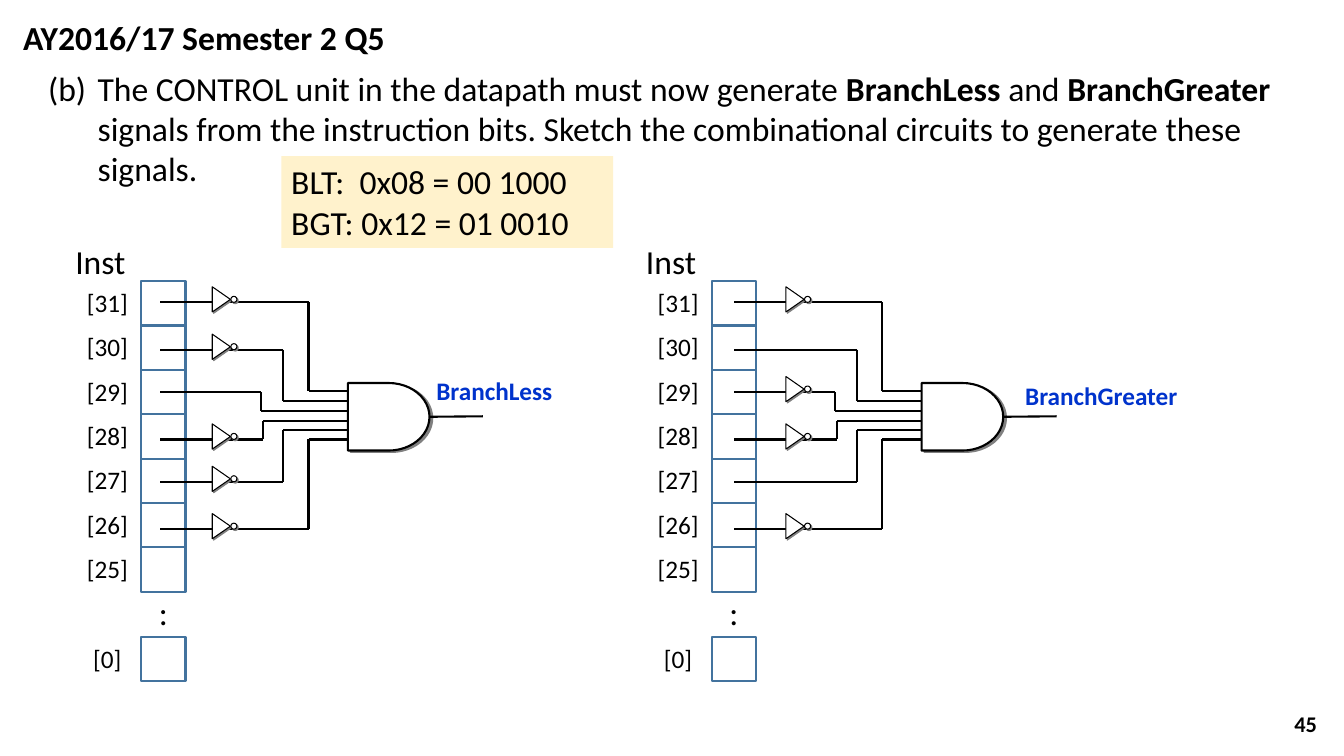
from dataclasses import dataclass
from typing import Any

from lxml import etree
from pptx import Presentation
from pptx.dml.color import RGBColor
from pptx.enum.shapes import MSO_CONNECTOR, MSO_SHAPE as SHAPE
from pptx.enum.text import MSO_ANCHOR, PP_ALIGN as ALIGN
from pptx.oxml.ns import qn
from pptx.util import Pt

PX = 9144
FONT = "Calibri"
COLORS = {
    "black": "000000",
    "white": "FFFFFF",
    "cell": "43739E",
    "note": "FFF2CC",
    "signal": "0033CC",
    "shadow": "808080",
}

CELL = 44
CELLS_TOP, CELLS_SPAN = 279, 353
BIT_SLOTS = {31: 0, 30: 1, 29: 2, 28: 3, 27: 4, 26: 5, 25: 6, 0: 8}
COLON_SLOT = 7

ROWS = (300, 347, 389, 436, 478, 525)
PINS = (388, 398, 408, 418, 427, 436)
BENDS = (147, 122, 100, 102, 122, 147)
PIN_END = 200
GATE_X, GATE_Y, GATE_W, GATE_H = 186, 380, 81, 67
INVERTER_X = 48
OUTPUT_END = 320


@dataclass(frozen=True)
class Box:
    x: int
    y: int
    w: int
    h: int

    def emu(self) -> tuple[int, int, int, int]:
        return self.x * PX, self.y * PX, self.w * PX, self.h * PX


@dataclass(frozen=True)
class Decoder:
    cells_x: int
    wires_x: int
    opcode: str
    signal: str
    signal_box: Box


DECODERS = (
    Decoder(140, 159, "001000", "BranchLess", Box(423, 367, 146, 40)),
    Decoder(706, 728, "010010", "BranchGreater", Box(1007, 372, 187, 40)),
)


def rgb(name: str) -> RGBColor:
    return RGBColor.from_string(COLORS[name])


def style_paragraph(p: Any, size: int, color: str = "black", bold: bool | None = None) -> None:
    p.font.name = FONT
    p.font.size = Pt(size)
    p.font.color.rgb = rgb(color)
    if bold is not None:
        p.font.bold = bold


def add_text(shapes: Any, box: Box, text: str, size: int, align: ALIGN = ALIGN.LEFT,
             color: str = "black", bold: bool = False) -> Any:
    tf = shapes.add_textbox(*box.emu()).text_frame
    tf.word_wrap = True
    p = tf.paragraphs[0]
    p.text = text
    p.alignment = align
    style_paragraph(p, size, color, bold)
    return tf


def add_shape(shapes: Any, kind: SHAPE, box: Box, fill: str | None = None,
              line: str | None = None, width: float = 1.5) -> Any:
    sp = shapes.add_shape(kind, *box.emu())
    sp.shadow.inherit = False
    if fill:
        sp.fill.solid()
        sp.fill.fore_color.rgb = rgb(fill)
    else:
        sp.fill.background()
    if line:
        sp.line.color.rgb = rgb(line)
        sp.line.width = Pt(width)
    else:
        sp.line.fill.background()
    return sp


def cast_shadow(sp: Any, distance: float, degrees: int) -> None:
    effects = sp._element.spPr.find(qn("a:effectLst"))
    shadow = etree.SubElement(effects, qn("a:outerShdw"), dist=str(Pt(distance)),
                              dir=str(degrees * 60000), algn="ctr", rotWithShape="0")
    etree.SubElement(shadow, qn("a:srgbClr"), val=COLORS["shadow"])


def add_wire(shapes: Any, x1: int, y1: int, x2: int, y2: int) -> Any:
    wire = shapes.add_connector(MSO_CONNECTOR.STRAIGHT, x1 * PX, y1 * PX, x2 * PX, y2 * PX)
    wire.line.color.rgb = rgb("black")
    wire.line.width = Pt(1.5)
    etree.SubElement(wire._element.spPr, qn("a:effectLst"))
    return wire


def add_inverter(shapes: Any, x: int, row: int) -> None:
    triangle = add_shape(shapes, SHAPE.FLOWCHART_MERGE, Box(x, row - 12, 25, 18),
                         "white", "black", 0.75)
    triangle.rotation = 270
    bubble = add_shape(shapes, SHAPE.OVAL, Box(x + 22, row - 6, 6, 6), "white", "black", 0.75)
    for part in (triangle, bubble):
        cast_shadow(part, 1.4, 45)


def slot_top(slot: int) -> int:
    return CELLS_TOP + slot * CELLS_SPAN // 8


def add_instruction(s: Any, x: int) -> None:
    shapes = s.shapes.add_group_shape().shapes
    add_text(shapes, Box(x - 86, 234, 91, 50), "Inst", 24, ALIGN.CENTER)
    for bit, slot in BIT_SLOTS.items():
        y = slot_top(slot)
        add_shape(shapes, SHAPE.RECTANGLE, Box(x, y, CELL, CELL), line="cell")
        add_text(shapes, Box(x - 72, y + 1, 77, 40), f"[{bit}]", 18, ALIGN.CENTER)
    add_text(shapes, Box(x, slot_top(COLON_SLOT) - 5, CELL, 50), ":", 24, ALIGN.CENTER)


def add_circuit(s: Any, decoder: Decoder) -> None:
    shapes = s.shapes.add_group_shape().shapes
    x = decoder.wires_x
    for bit, row, pin, bend in zip(decoder.opcode, ROWS, PINS, BENDS):
        add_wire(shapes, x, row, x + bend, row)
        add_wire(shapes, x + bend, row, x + bend, pin)
        add_wire(shapes, x + bend, pin, x + PIN_END, pin)
        if bit == "0":
            add_inverter(shapes, x + INVERTER_X, row)
    gate = add_shape(shapes, SHAPE.FLOWCHART_DELAY, Box(x + GATE_X, GATE_Y, GATE_W, GATE_H),
                     "white", "black")
    cast_shadow(gate, 2.2, 27)
    output_y = GATE_Y + GATE_H // 2
    output = add_wire(shapes, x + GATE_X + GATE_W, output_y, x + OUTPUT_END, output_y)
    output.begin_connect(gate, 3)
    add_text(shapes, decoder.signal_box, decoder.signal, 18, color="signal", bold=True)


def add_question(s: Any) -> None:
    tf = s.shapes.add_textbox(*Box(38, 62, 1263, 131).emu()).text_frame
    tf.word_wrap = True
    p = tf.paragraphs[0]
    style_paragraph(p, 24)
    p.space_after = Pt(6)
    indent = 49 * PX
    pPr = p._p.get_or_add_pPr()
    pPr.set("marL", str(indent))
    pPr.set("indent", str(-indent))
    tabs = etree.Element(qn("a:tabLst"))
    etree.SubElement(tabs, qn("a:tab"), pos=str(indent), algn="l")
    pPr.find(qn("a:spcAft")).addnext(tabs)
    for text, bold in (
        ("(b)\tThe CONTROL unit in the datapath must now generate ", False),
        ("BranchLess", True),
        (" and ", False),
        ("BranchGreater", True),
        (" signals from the instruction bits. Sketch the combinational circuits"
         " to generate these signals.", False),
    ):
        r = p.add_run()
        r.text = text
        r.font.bold = bold


def add_opcodes(s: Any) -> None:
    tf = add_shape(s.shapes, SHAPE.RECTANGLE, Box(279, 155, 329, 91), "note").text_frame
    tf.word_wrap = True
    tf.vertical_anchor = MSO_ANCHOR.TOP
    tf.text = "BLT:  0x08 = 00 1000\nBGT: 0x12 = 01 0010"
    for p in tf.paragraphs:
        p.alignment = ALIGN.LEFT
        style_paragraph(p, 24)


def main() -> None:
    prs = Presentation()
    prs.slide_width, prs.slide_height = 1333 * PX, 750 * PX
    s = prs.slides.add_slide(prs.slide_layouts[6])
    add_text(s.shapes, Box(13, 12, 408, 50), "AY2016/17 Semester 2 Q5", 24, bold=True)
    add_question(s)
    add_opcodes(s)
    for decoder in DECODERS:
        add_instruction(s, decoder.cells_x)
        add_circuit(s, decoder)
    number = add_text(s.shapes, Box(1016, 698, 300, 40), "45", 16, ALIGN.RIGHT, bold=True)
    number.vertical_anchor = MSO_ANCHOR.MIDDLE
    prs.save("out.pptx")


if __name__ == "__main__":
    main()
